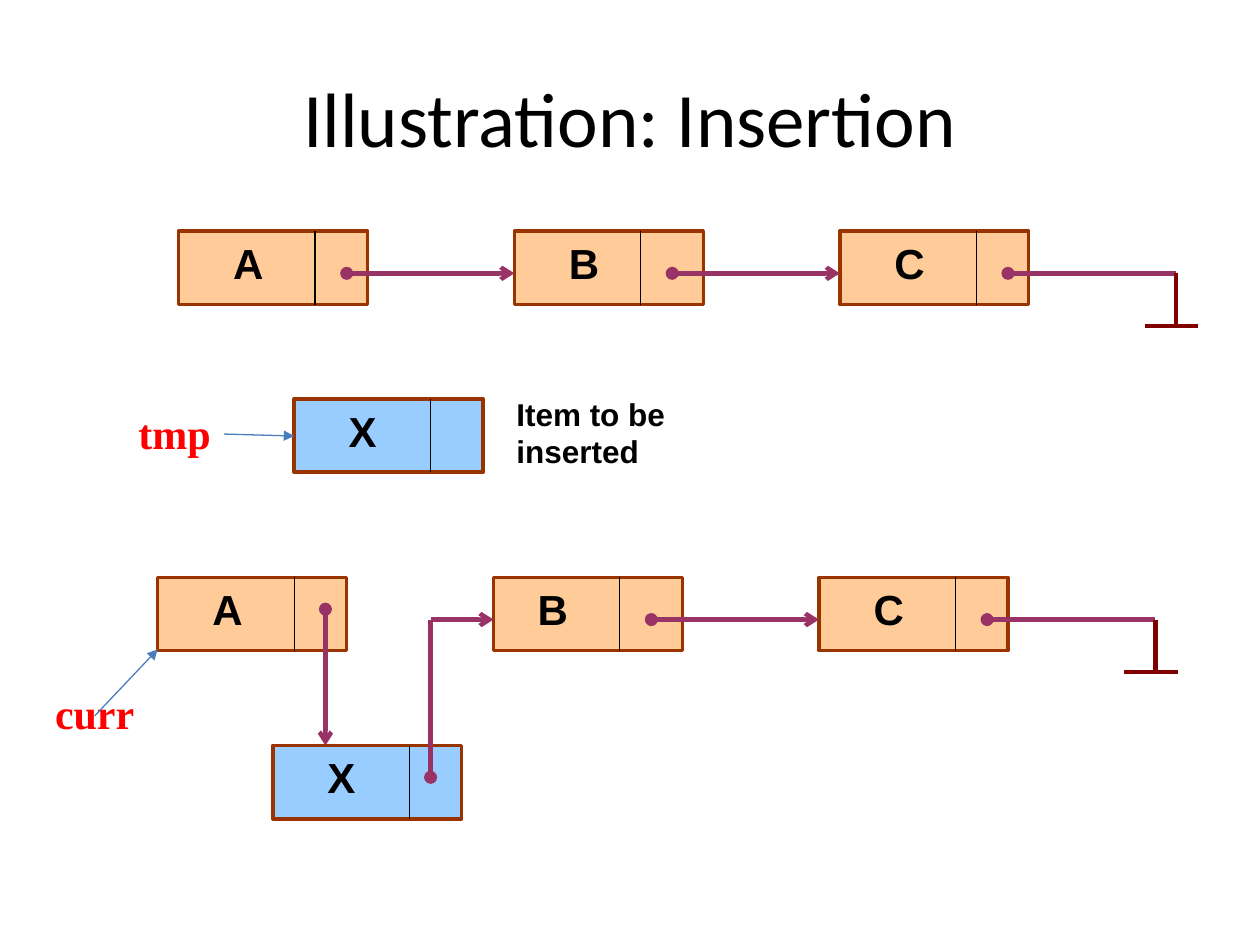
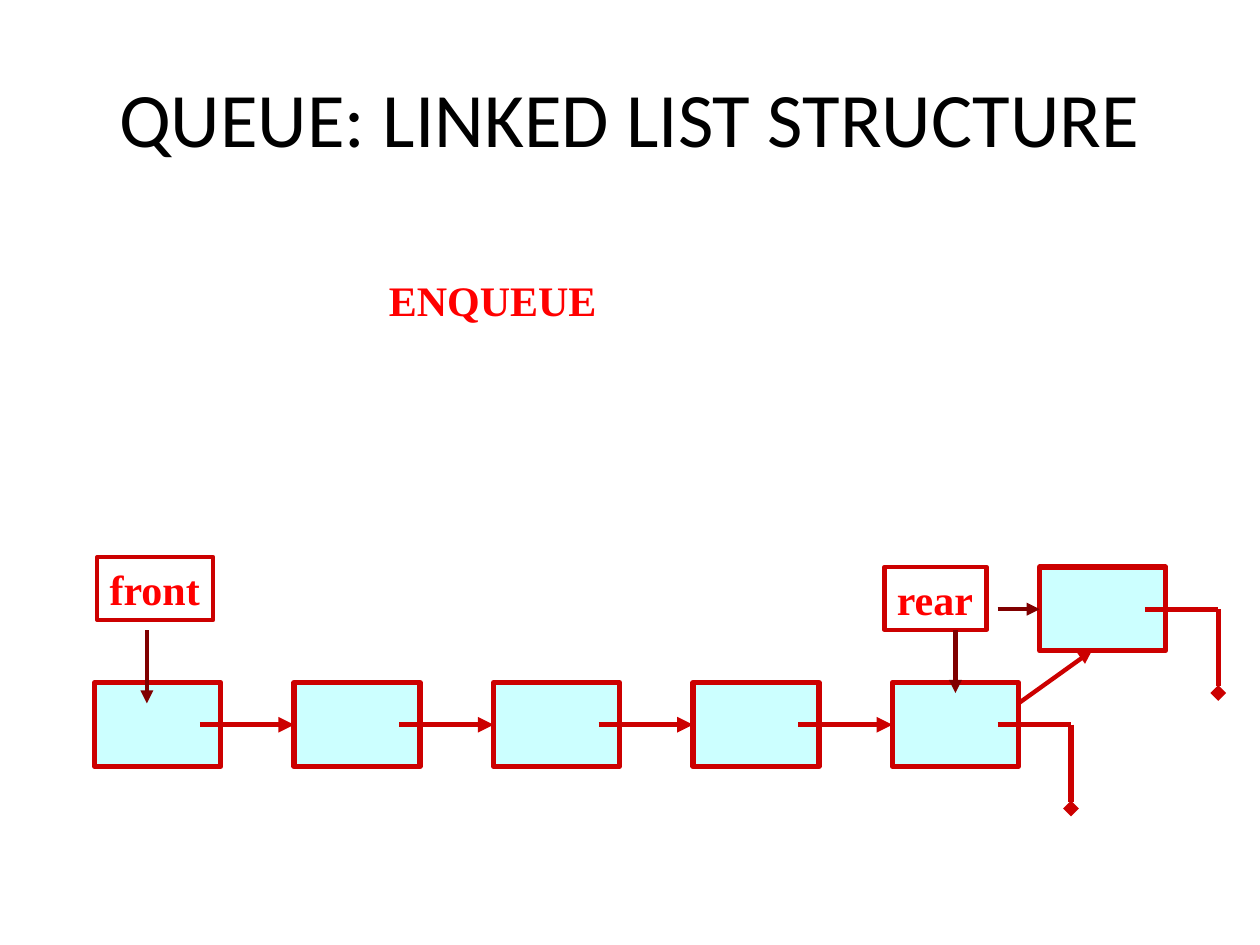
from dataclasses import dataclass

from lxml.etree import SubElement
from pptx import Presentation
from pptx.dml.color import RGBColor
from pptx.enum.shapes import MSO_CONNECTOR, MSO_SHAPE
from pptx.enum.text import MSO_ANCHOR, PP_ALIGN
from pptx.oxml.ns import qn
from pptx.util import Cm, Pt


@dataclass(frozen=True)
class Theme:
    black: str = "000000"
    red: str = "FF0000"
    list_fill: str = "FFCC99"
    new_fill: str = "99CCFF"
    node_border: str = "993300"
    pointer: str = "993366"
    dark_red: str = "800000"
    label_arrow: str = "4A7EBB"
    queue_fill: str = "CCFFFF"
    queue_line: str = "CC0000"
    title_font: str = "Calibri"
    node_font: str = "Arial"
    label_font: str = "Times New Roman"
    title_size: int = 44
    label_size: int = 24
    note_size: int = 18
    hairline: float = 0.75
    border: float = 2
    medium: float = 2.5
    thick: float = 3


theme = Theme()


def add_box(slide, left, top, width, height, fill=None, border=None, weight=0,
            text="", font=theme.label_font, size=theme.label_size,
            color=theme.red, bold=True, wrap=False):
    """Add a filled rectangle, or a text box when there is no fill."""
    area = Cm(left), Cm(top), Cm(width), Cm(height)
    if fill:
        shape = slide.shapes.add_shape(MSO_SHAPE.RECTANGLE, *area)
        shape.shadow.inherit = False
        shape.fill.solid()
        shape.fill.fore_color.rgb = RGBColor.from_string(fill)
    else:
        shape = slide.shapes.add_textbox(*area)
    if border:
        shape.line.color.rgb = RGBColor.from_string(border)
        shape.line.width = Pt(weight)
    if text:
        shape.text_frame.word_wrap = wrap
        paragraph = shape.text_frame.paragraphs[0]
        paragraph.text = text
        paragraph.font.name = font
        paragraph.font.size = Pt(size)
        paragraph.font.bold = bold
        paragraph.font.color.rgb = RGBColor.from_string(color)
    return shape


def add_line(slide, start, end, color, weight, head=None, tail=None):
    """Draw a line; head is the marker at its start, tail the one at its end."""
    connector = slide.shapes.add_connector(
        MSO_CONNECTOR.STRAIGHT, *map(Cm, start), *map(Cm, end))
    connector.line.color.rgb = RGBColor.from_string(color)
    connector.line.width = Pt(weight)
    properties = connector.element.find(qn("p:spPr"))
    outline = properties.find(qn("a:ln"))
    for tag, marker in (("a:headEnd", head), ("a:tailEnd", tail)):
        if marker:
            SubElement(outline, qn(tag)).set("type", marker)
    SubElement(properties, qn("a:effectLst"))


presentation = Presentation()
presentation.slide_width = Cm(25.4)
presentation.slide_height = Cm(19.05)
slides = []
for title in ("Illustration: Insertion", "QUEUE: LINKED LIST STRUCTURE"):
    slide = presentation.slides.add_slide(presentation.slide_layouts[6])
    title_box = add_box(slide, 1.27, 0.76, 22.86, 3.18, text=title,
                        font=theme.title_font, size=theme.title_size,
                        color=theme.black, bold=False, wrap=True)
    title_box.text_frame.vertical_anchor = MSO_ANCHOR.MIDDLE
    title_box.text_frame.paragraphs[0].alignment = PP_ALIGN.CENTER
    slides.append(slide)
insertion, queue = slides

# Insertion: list nodes with a data cell and a pointer cell
node_width, node_height = 3.81, 1.48
divider, short_divider = 2.75, 2.54
pointer_inset, pointer_drop = 0.64, 0.85
label_inset = 0.85
before_top, after_top = 4.66, 11.64
after_shift = -0.42
a_left, b_left, c_left, null_left = 3.6, 10.37, 16.93, 23.71
new_left, new_top = 5.93, 8.04
linked_left, linked_top = 5.5, 15.03

nodes = [("X", new_left, new_top, theme.new_fill, divider, label_inset),
         ("X", linked_left, linked_top, theme.new_fill, divider, label_inset)]
for top, shift, b_label in ((before_top, 0, label_inset),
                            (after_top, after_shift, 0.64)):
    nodes += [
        ("A", a_left + shift, top, theme.list_fill, divider, label_inset),
        ("B", b_left + shift, top, theme.list_fill, short_divider, b_label),
        ("C", c_left + shift, top, theme.list_fill, divider, label_inset),
    ]
for name, left, top, fill, split, inset in nodes:
    add_box(insertion, left, top, node_width, node_height, fill,
            theme.node_border, theme.border)
    add_line(insertion, (left + split, top), (left + split, top + node_height),
             theme.black, theme.hairline)
    add_box(insertion, left + inset, top, 1.69, 1.27, text=name,
            font=theme.node_font, color=theme.black, wrap=True)

links = [(a_left, divider, b_left, "arrow"),
         (b_left, short_divider, c_left, "arrow"),
         (c_left, divider, null_left, None)]
for top, shift, row_links in ((before_top, 0, links),
                              (after_top, after_shift, links[1:])):
    y = top + pointer_drop
    for left, split, target, tail in row_links:
        add_line(insertion, (left + split + pointer_inset + shift, y),
                 (target + shift, y), theme.pointer, theme.medium, "oval", tail)
    null_x, null_y = null_left + shift, y + 1.06
    add_line(insertion, (null_x, y), (null_x, null_y),
             theme.dark_red, theme.medium)
    add_line(insertion, (null_x - 0.63, null_y), (null_x + 0.45, null_y),
             theme.dark_red, theme.medium)

# New links from A to X and from X up to B
link_y = after_top + pointer_drop
rise_x = 8.68
add_line(insertion, (6.56, after_top + 0.64), (6.56, linked_top),
         theme.pointer, theme.medium, "oval", "arrow")
add_line(insertion, (rise_x, linked_top + 0.64), (rise_x, link_y),
         theme.pointer, theme.medium, "oval")
add_line(insertion, (rise_x, link_y), (b_left + after_shift, link_y),
         theme.pointer, theme.medium, tail="arrow")

add_box(insertion, 10.16, 7.83, 4.66, 1.78, text="Item to be inserted",
        font=theme.node_font, size=theme.note_size, color=theme.black, wrap=True)
add_box(insertion, 2.54, 8.1, 1.96, 1.27, text="tmp")
add_line(insertion, (4.52, 8.75), (new_left, 8.79),
         theme.label_arrow, theme.hairline, tail="triangle")
add_box(insertion, 0.86, 13.74, 2.11, 1.27, text="curr")
add_line(insertion, (1.91, 14.43), (a_left + after_shift, 13.09),
         theme.label_arrow, theme.hairline, tail="triangle")

# Queue: five linked cells and one cell being added at the rear
cell_width, cell_height = 2.54, 1.69
cell_left, cell_top, cell_pitch = 1.91, 13.76, 4.02
link_inset, link_drop = 2.12, 0.85
added_left, added_top = 20.96, 11.43
cell_lefts = [cell_left + index * cell_pitch for index in range(5)]
rear_left = cell_lefts[-1]

for left, top in [(left, cell_top) for left in cell_lefts] + [(added_left, added_top)]:
    add_box(queue, left, top, cell_width, cell_height, theme.queue_fill,
            theme.queue_line, theme.thick)
for left in cell_lefts[:-1]:
    y = cell_top + link_drop
    add_line(queue, (left + link_inset, y), (left + cell_pitch, y),
             theme.queue_line, theme.thick, tail="triangle")
for left, top in ((rear_left, cell_top), (added_left, added_top)):
    corner_x, corner_y = left + 3.6, top + link_drop
    add_line(queue, (left + link_inset, corner_y), (corner_x, corner_y),
             theme.queue_line, theme.thick)
    add_line(queue, (corner_x, corner_y), (corner_x, corner_y + 1.69),
             theme.queue_line, theme.thick, tail="diamond")
add_line(queue, (rear_left + cell_width, 14.18),
         (22.01, added_top + cell_height),
         theme.queue_line, theme.medium, tail="triangle")

for text, left, top, width in (("front", 1.96, 11.23, 2.34),
                               ("rear", 17.83, 11.43, 2.06)):
    add_box(queue, left, top, width, 1.27, border=theme.queue_line,
            weight=theme.medium, text=text)
for start, end in (((2.96, 12.7), (2.96, 14.18)),
                   ((19.26, 12.7), (19.26, 13.97)),
                   ((20.11, 12.28), (added_left, 12.28))):
    add_line(queue, start, end, theme.dark_red, theme.medium, tail="triangle")
add_box(queue, 7.59, 5.41, 4.7, 1.27, text="ENQUEUE")

presentation.save("out.pptx")
